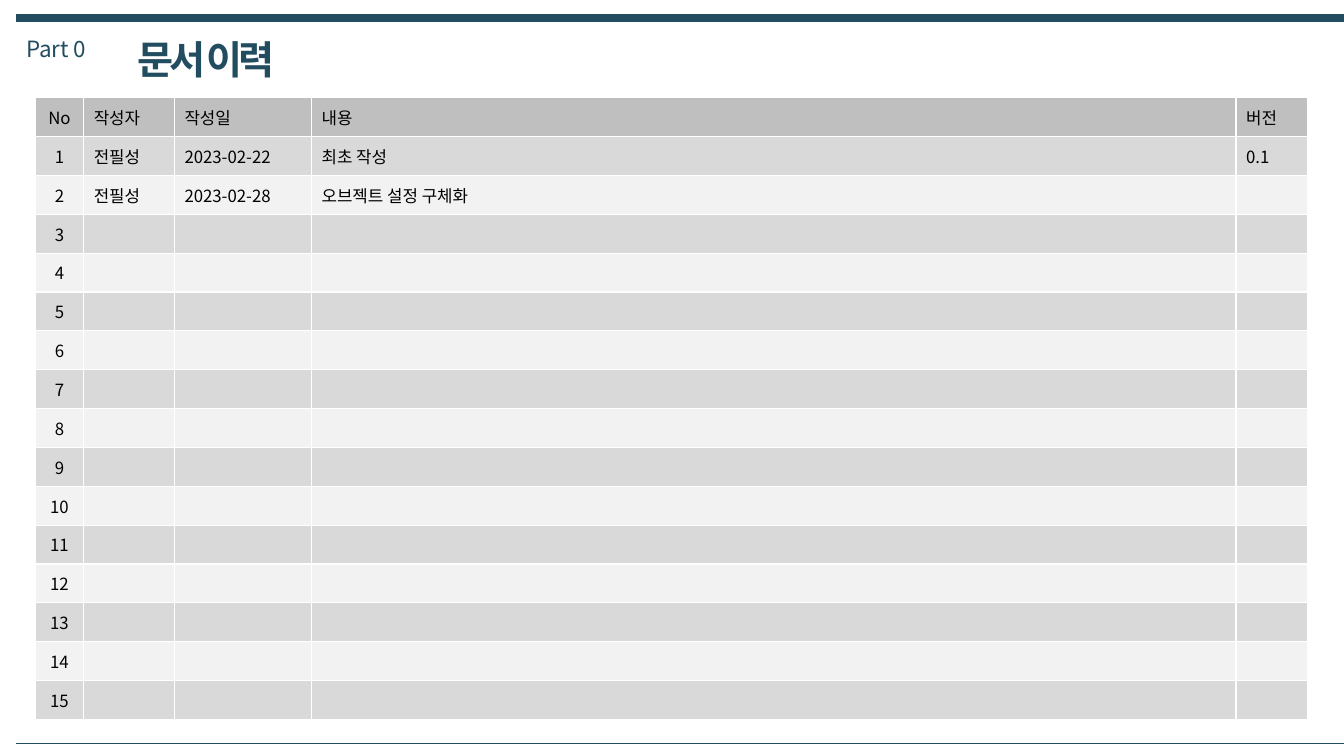
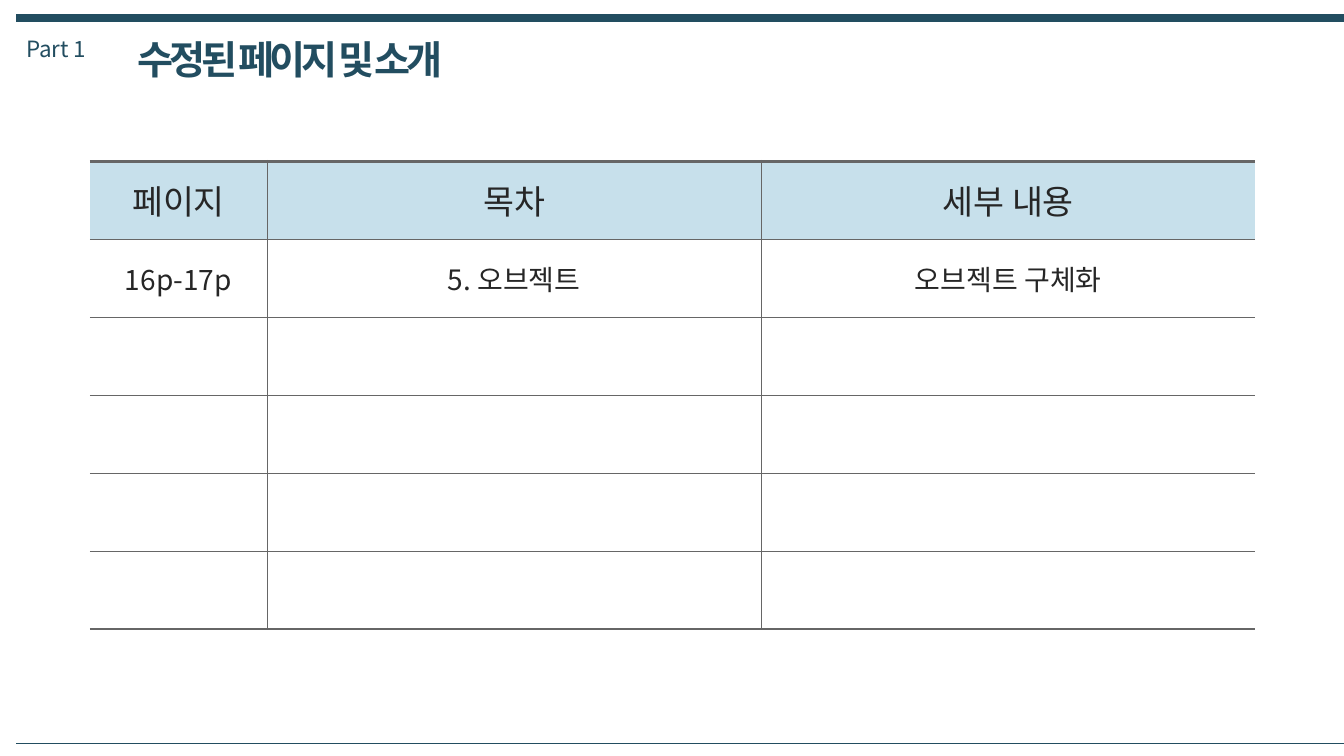
from lxml import etree
from pptx import Presentation
from pptx.dml.color import RGBColor
from pptx.enum import shapes, text
from pptx.oxml import ns
from pptx.util import Inches, Pt

FONT = "Noto Sans CJK KR"
HEX = {
    "navy": "224D60", "black": "000000", "ink": "262626", "rule": "666666",
    "white": "FFFFFF", "head": "BFBFBF", "odd": "D9D9D9", "even": "F2F2F2",
    "sky": "C7E0EB",
}
LEFT, MID = text.PP_ALIGN.LEFT, text.PP_ALIGN.CENTER


def tint(name):
    return RGBColor.from_string(HEX[name])


def node(top, tag, **attrs):
    return etree.SubElement(top, ns.qn(tag), attrs)


# Text
def style(para, size, color, bold=False, gap=0):
    for run in para.runs:
        font = run.font
        font.name, font.size, font.bold = FONT, Pt(size), bold
        font.color.rgb = tint(color)
        node(font._element, "a:ea", typeface=FONT)
        if gap:
            font._element.set("spc", str(gap * 100))
    if not para.runs:
        end = node(para._p, "a:endParaRPr", sz=str(size * 100))
        for tag in ("a:latin", "a:ea"):
            node(end, tag, typeface=FONT)


def label(slide, words, box, size, **look):
    frame = slide.shapes.add_textbox(*map(Inches, box)).text_frame
    frame.word_wrap = False
    frame.auto_size = text.MSO_AUTO_SIZE.SHAPE_TO_FIT_TEXT
    frame.text = words
    style(frame.paragraphs[0], size, "navy", **look)


# Lines
def rule(slide, y, width):
    line = slide.shapes.add_connector(
        shapes.MSO_CONNECTOR.STRAIGHT,
        Inches(0.16), Inches(y), Inches(13.35), Inches(y))
    line.line.color.rgb = tint("navy")
    line.line.width = Pt(width)
    node(line._element.spPr, "a:effectLst")


# Slide frame: bands, part number and title
def page(deck, part, title, width):
    slide = deck.slides.add_slide(deck.slide_layouts[6])
    rule(slide, 0.18, 6)
    label(slide, part, (0.16, 0.3, 0.95, 0.37), 16)
    label(slide, title, (1.27, 0.3, width, 0.57), 28, bold=True, gap=-3)
    rule(slide, 7.37, 0.25)
    return slide


# Tables
def edge(cell, color, widths):
    props = cell._tc.get_or_add_tcPr()
    for side, width in zip("LRTB", widths):
        line = node(props, "a:ln" + side, w=str(Pt(width)))
        if width:
            node(node(line, "a:solidFill"), "a:srgbClr", val=HEX[color])
        else:
            node(line, "a:noFill")


def grid(slide, left, top, cols, height, rows):
    frame = slide.shapes.add_table(
        len(rows), len(cols), Inches(left), Inches(top),
        Inches(sum(cols)), Inches(height))
    table = frame.table
    table.first_row = table.horz_banding = False
    for col, width in zip(table.columns, cols):
        col.width = Inches(width)
    for row in table.rows:
        row.height = Inches(height / len(rows))
    return table


def put(cell, words, fill, size, color, align):
    cell.text = words
    cell.vertical_anchor = text.MSO_ANCHOR.MIDDLE
    cell.fill.solid()
    cell.fill.fore_color.rgb = tint(fill)
    para = cell.text_frame.paragraphs[0]
    para.alignment = align
    style(para, size, color)


def log(slide):
    rows = [
        ("No", "작성자", "작성일", "내용", "버전"),
        ("1", "전필성", "2023-02-22", "최초 작성", "0.1"),
        ("2", "전필성", "2023-02-28", "오브젝트 설정 구체화", ""),
    ]
    rows += [(str(n), "", "", "", "") for n in range(3, 16)]
    table = grid(slide, 0.35, 0.97, (0.48, 0.9, 1.36, 9.17, 0.71), 6.17, rows)
    for r, row in enumerate(rows):
        fill = ("odd" if r % 2 else "even") if r else "head"
        for c, words in enumerate(row):
            cell = table.cell(r, c)
            edge(cell, "white", (1, 1, 1, 1))
            put(cell, words, fill, 12, "black", LEFT if c else MID)


def edits(slide):
    rows = [
        ("페이지", "목차", "세부 내용"),
        ("16p-17p", "5. 오브젝트", "오브젝트 구체화"),
    ]
    rows += [("", "", "")] * 4
    table = grid(slide, 0.89, 1.6, (1.76, 4.9, 4.9), 4.64, rows)
    last, end = len(rows) - 1, len(rows[0]) - 1
    thin, thick = 0.75, 2.25
    for r, row in enumerate(rows):
        for c, words in enumerate(row):
            cell = table.cell(r, c)
            edge(cell, "rule", (
                thin if c else 0, thin if c < end else 0,
                thin if r else thick, thin if r < last else thick))
            put(cell, words, "white" if r else "sky",
                20 if r else 24, "ink", MID)


def main():
    deck = Presentation()
    deck.slide_width, deck.slide_height = Inches(13.33), Inches(7.5)
    log(page(deck, "Part 0", "문서 이력", 1.61))
    edits(page(deck, "Part 1", "수정된 페이지 및 소개", 3.42))
    deck.save("out.pptx")


if __name__ == "__main__":
    main()
